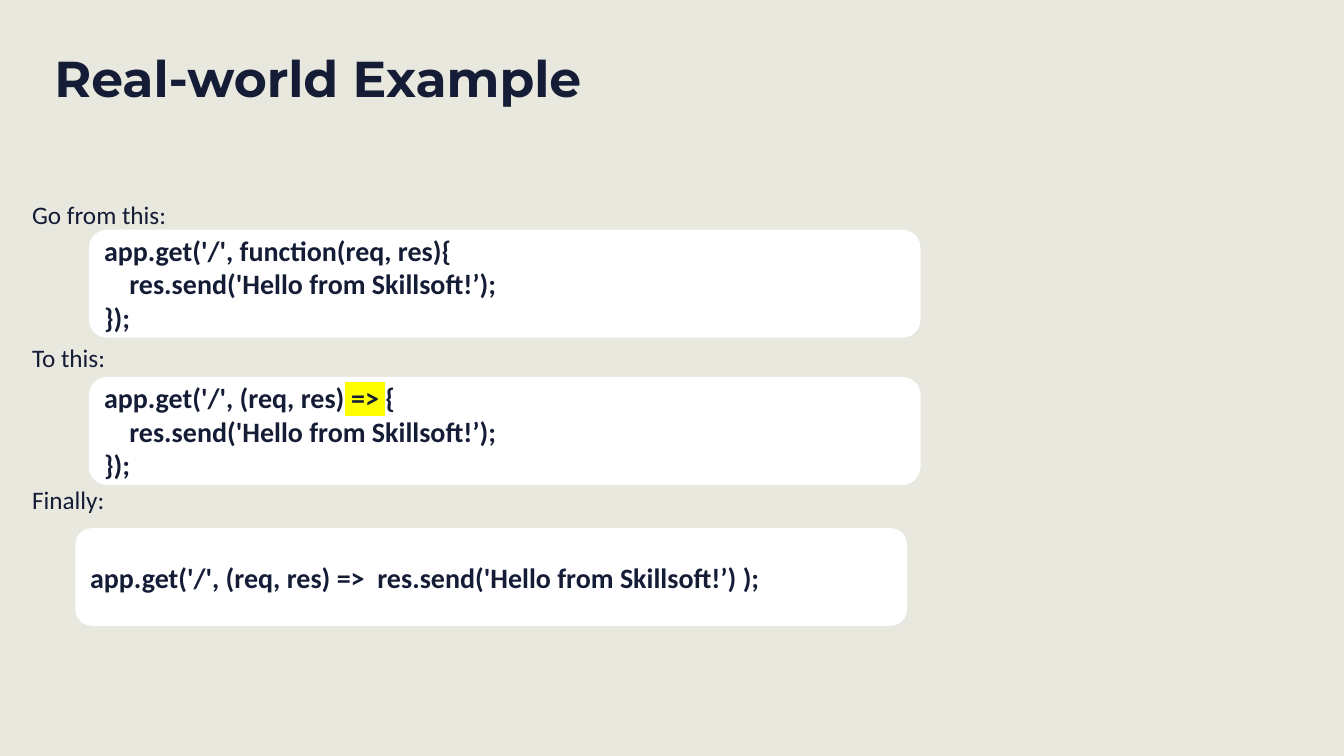
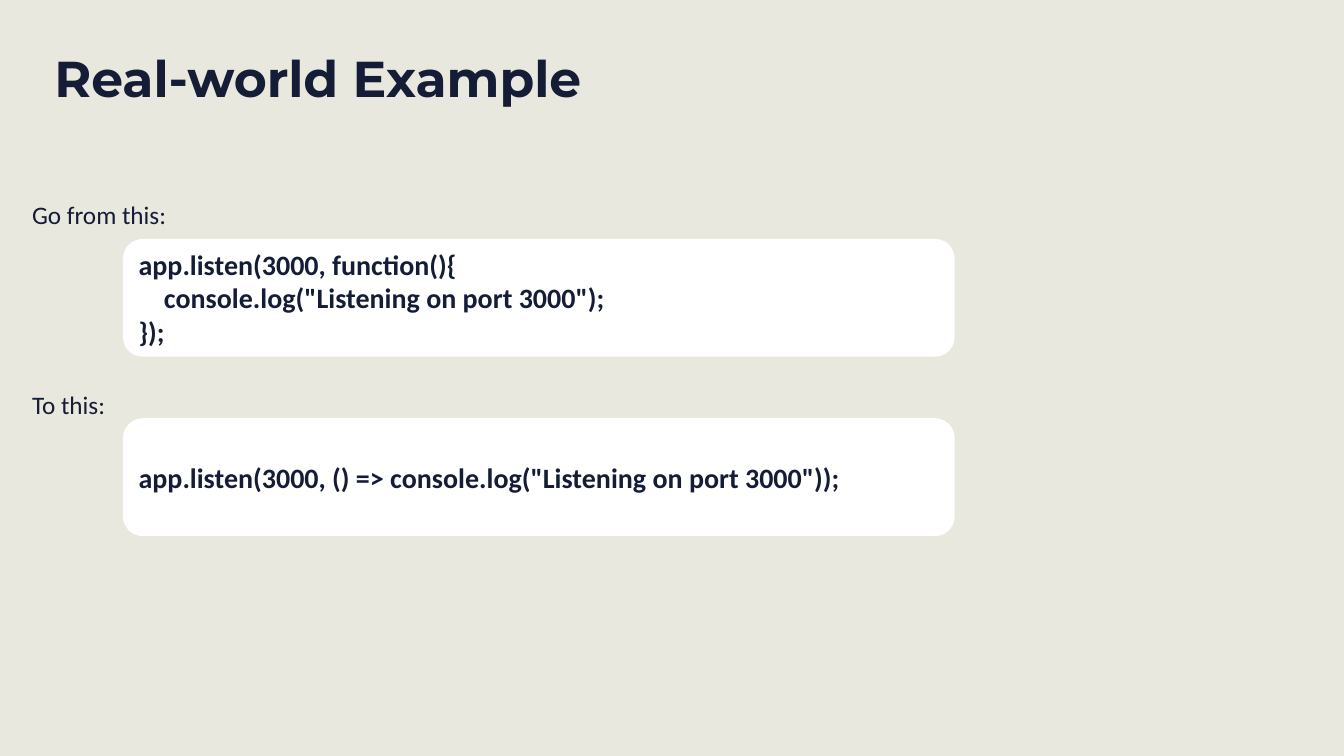
from lxml.etree import SubElement
from pptx import Presentation
from pptx.dml.color import RGBColor
from pptx.enum.shapes import MSO_SHAPE
from pptx.enum.text import MSO_ANCHOR, PP_ALIGN
from pptx.oxml.ns import qn
from pptx.util import Cm, Pt

PAPER, INK, WHITE, YELLOW = "E9E8DE", "141C36", "FFFFFF", "FFFF00"
TITLE_FONT, BODY_FONT = "Montserrat", "Calibri"
CODE_WIDTH = 20.96
LABEL_GAP, LABEL_PITCH = 10, 34.17

SLIDES = [
    {
        "title": "Real-world Example",
        "labels": [("Go from this:", 0), ("To this:", 2), ("Finally:", 2)],
        "codes": [
            ((2.24, 5.79, CODE_WIDTH, 2.72), [
                ["app.get('/', function(req, res){"],
                ["    res.send('Hello from Skillsoft!’);"],
                ["});"],
            ]),
            ((2.24, 9.5, CODE_WIDTH, 2.72), [
                ["app.get('/', (req, res)", (" => ", YELLOW), "{"],
                ["    res.send('Hello from Skillsoft!’);"],
                ["});"],
            ]),
            ((1.9, 13.31, CODE_WIDTH, 2.46), [
                ["app.get('/', (req, res) =>  res.send('Hello from Skillsoft!’) );"],
            ]),
        ],
    },
    {
        "title": "Real-world Example",
        "labels": [("Go from this:", 0), ("To this:", 3)],
        "codes": [
            ((3.1, 6.02, CODE_WIDTH, 2.97), [
                ["app.listen(3000, function(){"],
                ['    console.log("Listening on port 3000");'],
                ["});"],
            ]),
            ((3.1, 10.54, CODE_WIDTH, 2.97), [
                ['app.listen(3000, () => console.log("Listening on port 3000"));'],
            ]),
        ],
    },
]


def color(value):
    """Turn a hex string into a colour."""
    return RGBColor.from_string(value)


def add_span(para, text, size=18, font=BODY_FONT, bold=False, highlight=None):
    """Add formatted text to a paragraph."""
    span = para.add_run()
    span.text = text
    span.font.size = Pt(size)
    span.font.bold = bold
    span.font.color.rgb = color(INK)
    if highlight:
        properties = span._r.get_or_add_rPr()
        mark = SubElement(properties, qn("a:highlight"))
        SubElement(mark, qn("a:srgbClr"), val=highlight)
    span.font.name = font


def paragraphs(frame, count):
    """Return the given number of paragraphs, starting with the existing one."""
    return [frame.paragraphs[0]] + [frame.add_paragraph() for _ in range(count - 1)]


def add_text_box(page, box, vertical_inset=0):
    """Add a wrapping text box without side insets and return its frame."""
    frame = page.shapes.add_textbox(*map(Cm, box)).text_frame
    frame.word_wrap = True
    frame.margin_left = frame.margin_right = 0
    frame.margin_top = frame.margin_bottom = Cm(vertical_inset)
    return frame


def add_title(page, box, text):
    """Write the slide title."""
    para = add_text_box(page, box, vertical_inset=0.13).paragraphs[0]
    para.line_spacing = 0.9
    add_span(para, text, size=36, font=TITLE_FONT, bold=True)


def add_labels(page, box, labels):
    """Write the step labels, each a number of line pitches below the last."""
    frame = add_text_box(page, box)
    for index, (para, (text, skipped)) in enumerate(zip(paragraphs(frame, len(labels)), labels)):
        para.line_spacing = 1.1
        if index:
            para.space_before = Pt(round(LABEL_GAP + skipped * LABEL_PITCH, 1))
        add_span(para, text)


def add_code(page, box, lines):
    """Draw a rounded white panel holding lines of code."""
    panel = page.shapes.add_shape(MSO_SHAPE.ROUNDED_RECTANGLE, *map(Cm, box))
    panel.shadow.inherit = False
    panel.fill.solid()
    panel.fill.fore_color.rgb = color(WHITE)
    panel.line.fill.background()
    frame = panel.text_frame
    frame.word_wrap = True
    frame.vertical_anchor = MSO_ANCHOR.MIDDLE
    for para, parts in zip(paragraphs(frame, len(lines)), lines):
        para.alignment = PP_ALIGN.LEFT
        for part in parts:
            text, highlight = (part, None) if isinstance(part, str) else part
            add_span(para, text, size=20, bold=True, highlight=highlight)


def add_example(deck, title, labels, codes):
    """Build one example slide."""
    page = deck.slides.add_slide(deck.slide_layouts[6])
    add_labels(page, (0.81, 4.94, 27.08, 13.55), labels)
    add_title(page, (1.37, 1.24, 13.72, 1.88), title)
    for box, lines in codes:
        add_code(page, box, lines)


def main():
    """Build and save the deck."""
    deck = Presentation()
    deck.slide_width, deck.slide_height = Cm(33.87), Cm(19.05)
    background = deck.slide_master.background.fill
    background.solid()
    background.fore_color.rgb = color(PAPER)
    for content in SLIDES:
        add_example(deck, **content)
    deck.save("out.pptx")


if __name__ == "__main__":
    main()
